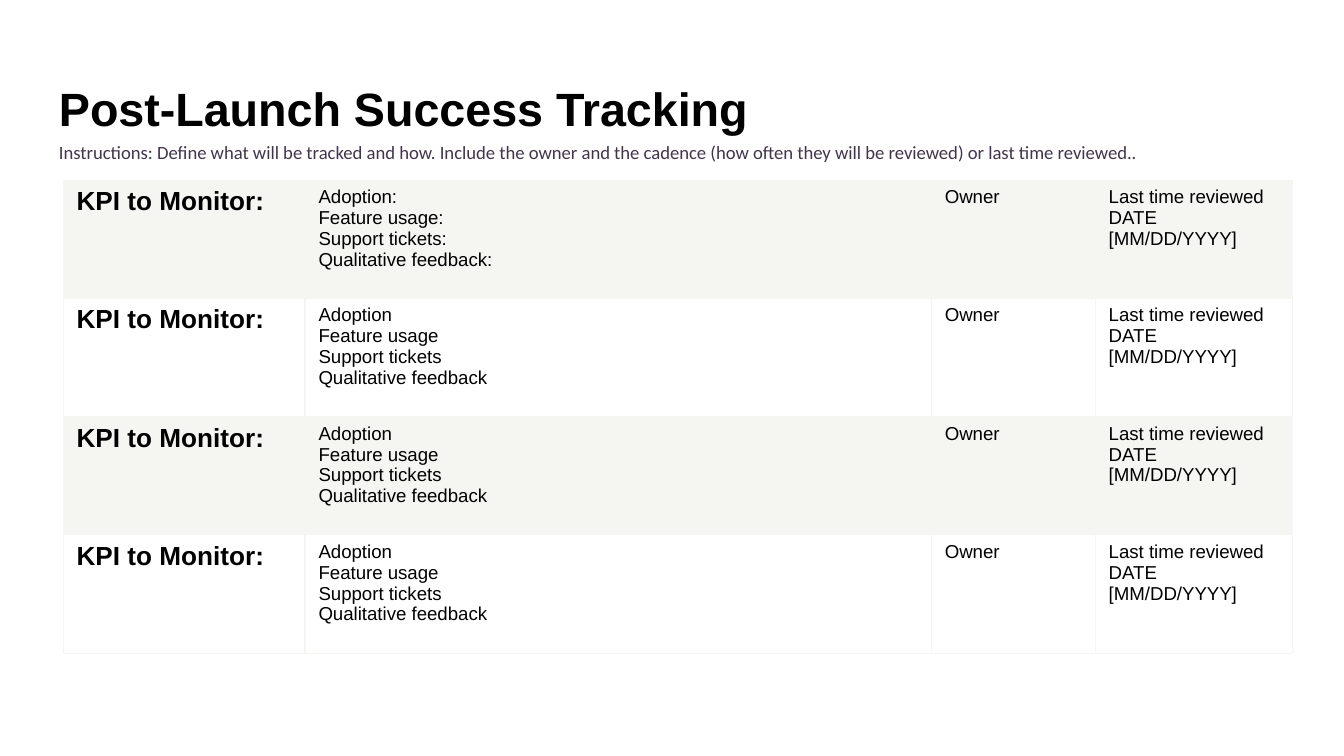
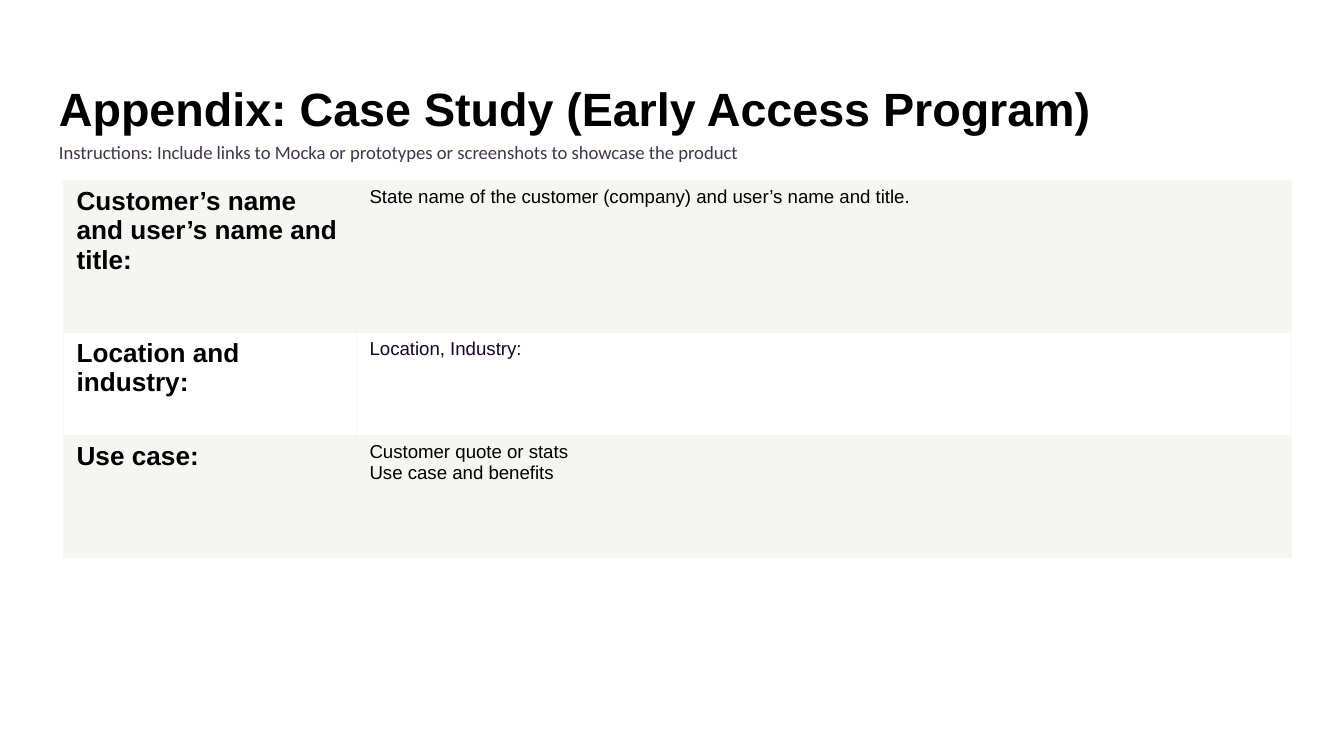
from lxml.etree import SubElement
from pptx import Presentation
from pptx.dml.color import RGBColor
from pptx.enum.text import MSO_ANCHOR
from pptx.oxml.ns import qn
from pptx.util import Inches, Pt

COLORS = {
    "background": "FFFFFF",
    "band": "F5F5F2",
    "text": "000000",
    "instructions": "41354B",
    "location": "18032C",
}
SLIDE_WIDTH = Inches(10)
SLIDE_HEIGHT = SLIDE_WIDTH * 9 // 16
TITLE_BOX = (0.34, 0.49, 8.59, 0.63)
INSTRUCTIONS_BOX = (0.34, 0.93, 9.27, 0.37)
TABLE_LEFT, TABLE_TOP = 0.47, 1.34
BORDER_WIDTH = Pt(0.75)

KPIS = ["Adoption", "Feature usage", "Support tickets", "Qualitative feedback"]


def kpi_row(mark=""):
    return ["KPI to Monitor:", [kpi + mark for kpi in KPIS], ["Owner"],
            ["Last time reviewed\nDATE [MM/DD/YYYY]"]]


SLIDES = [
    {
        "title": "Post-Launch Success Tracking",
        "instructions": "Instructions: Define what will be tracked and how. Include the owner and "
                        "the cadence (how often they will be reviewed) or last time reviewed..",
        "columns": [1.8, 4.66, 1.22, 1.47],
        "heights": [0.88] * 4,
        "rows": [kpi_row(":"), kpi_row(), kpi_row(), kpi_row()],
    },
    {
        "title": "Appendix: Case Study (Early Access Program)",
        "instructions": "Instructions: Include links to Mocka or prototypes or screenshots "
                        "to showcase the product",
        "columns": [2.18, 6.96],
        "heights": [1.13, 0.77, 0.91],
        "rows": [
            ["Customer’s name and user’s name and title:",
             ["State name of the customer (company) and user’s name and title."]],
            ["Location and industry:", ["Location, Industry:"]],
            ["Use case:", ["Customer quote or stats", "Use case and benefits"]],
        ],
        "cell_colors": {(1, 1): "location"},
    },
]


def rgb(name):
    return RGBColor.from_string(COLORS[name])


def write(frame, lines, size, color="text", font="Arial", bold=False, spacing=None):
    """Write one paragraph per line; a newline inside a line becomes a line break."""
    for index, line in enumerate(lines):
        paragraph = frame.add_paragraph() if index else frame.paragraphs[0]
        paragraph.line_spacing = spacing
        for part_index, part in enumerate(line.split("\n")):
            if part_index:
                paragraph.add_line_break()
            run = paragraph.add_run()
            run.text = part
            run.font.name, run.font.size, run.font.bold = font, Pt(size), bold
            run.font.color.rgb = rgb(color)


def add_text(slide, box, text, anchor, **style):
    frame = slide.shapes.add_textbox(*map(Inches, box)).text_frame
    frame.word_wrap = True
    frame.vertical_anchor = anchor
    frame.margin_left = frame.margin_right = Inches(0.1)
    frame.margin_top = frame.margin_bottom = Inches(0.1)
    write(frame, [text], **style)


def add_borders(cell):
    properties = cell._tc.get_or_add_tcPr()
    for side in ("a:lnL", "a:lnR", "a:lnT", "a:lnB"):
        line = SubElement(properties, qn(side), w=str(BORDER_WIDTH))
        SubElement(SubElement(line, qn("a:solidFill")), qn("a:srgbClr"), val=COLORS["band"])


def add_banded_table(slide, content):
    """Rows alternate between band and background; the first column holds bold labels."""
    rows, columns, heights = content["rows"], content["columns"], content["heights"]
    table = slide.shapes.add_table(
        len(rows), len(columns), Inches(TABLE_LEFT), Inches(TABLE_TOP),
        Inches(sum(columns)), Inches(sum(heights))).table
    table.first_row = table.horz_banding = False
    for column, width in zip(table.columns, columns):
        column.width = Inches(width)
    for row, height in zip(table.rows, heights):
        row.height = Inches(height)
    cell_colors = content.get("cell_colors", {})
    for row_index, (label, *details) in enumerate(rows):
        for column_index, lines in enumerate([[label], *details]):
            cell = table.cell(row_index, column_index)
            add_borders(cell)
            cell.fill.solid()
            cell.fill.fore_color.rgb = rgb("background" if row_index % 2 else "band")
            is_label = column_index == 0
            write(cell.text_frame, lines, size=14 if is_label else 10, bold=is_label,
                  color=cell_colors.get((row_index, column_index), "text"))


def add_slide(presentation, content):
    slide = presentation.slides.add_slide(presentation.slide_layouts[6])
    slide.background.fill.solid()
    slide.background.fill.fore_color.rgb = rgb("background")
    add_text(slide, TITLE_BOX, content["title"], MSO_ANCHOR.MIDDLE, size=25, bold=True)
    add_text(slide, INSTRUCTIONS_BOX, content["instructions"], MSO_ANCHOR.TOP,
             size=10, color="instructions", font="Calibri", spacing=1.15)
    add_banded_table(slide, content)


def main():
    presentation = Presentation()
    presentation.slide_width, presentation.slide_height = SLIDE_WIDTH, SLIDE_HEIGHT
    for content in SLIDES:
        add_slide(presentation, content)
    presentation.save("out.pptx")


if __name__ == "__main__":
    main()
